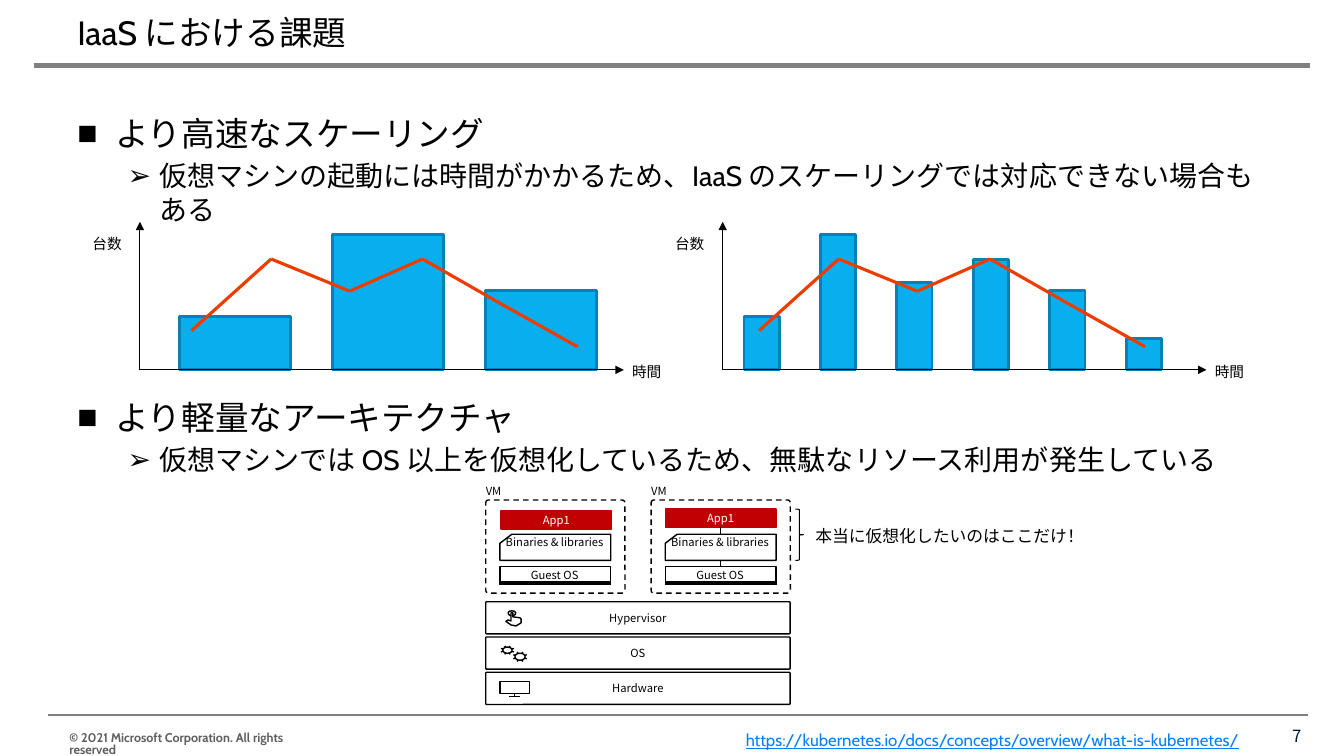
"""Build the slide on the challenges of IaaS."""
from dataclasses import dataclass
from itertools import pairwise
from math import cos, radians, sin

from lxml import etree
from pptx import Presentation
from pptx import util as u
from pptx.dml.color import RGBColor
from pptx.enum import dml, shapes, text
from pptx.oxml.ns import qn

LEFT, CENTER, RIGHT = text.PP_ALIGN.LEFT, text.PP_ALIGN.CENTER, text.PP_ALIGN.RIGHT
TOP, MIDDLE, BOTTOM = text.MSO_ANCHOR.TOP, text.MSO_ANCHOR.MIDDLE, text.MSO_ANCHOR.BOTTOM
RECTANGLE = shapes.MSO_SHAPE.RECTANGLE
ROUNDED = shapes.MSO_SHAPE.ROUNDED_RECTANGLE


@dataclass(frozen=True)
class Theme:
    body_font: str = "Cabin"
    label_font: str = "Noto Sans CJK JP"
    black: str = "000000"
    white: str = "FFFFFF"
    rule: str = "808080"
    footer: str = "5F5F5F"
    number: str = "021B2B"
    link: str = "0080FF"
    bar: str = "09AEEF"
    bar_edge: str = "0781B1"
    trend: str = "EB3D00"
    app: str = "C00000"
    heading: float = 24
    item: float = 20
    note: float = 12
    axis: float = 10.5
    copyright: float = 9
    small: float = 8


class SlideBuilder:
    def __init__(self, slide, theme):
        self.slide, self.theme = slide, theme

    def font(self, paragraph, size, color=None, name=None, bold=False, underline=False):
        font = paragraph.font
        font.size, font.bold, font.underline = u.Pt(size), bold, underline
        font.color.rgb = RGBColor.from_string(color or self.theme.black)
        font.name = name or self.theme.body_font
        properties = paragraph._p.pPr.find(qn("a:defRPr"))
        etree.SubElement(properties, qn("a:ea"), typeface=font.name)

    def set_text(self, shape, words, size, align=LEFT, anchor=TOP, inset=None, wrap=True,
                 spacing=None, **style):
        frame = shape.text_frame
        frame.auto_size = text.MSO_AUTO_SIZE.NONE
        frame.word_wrap, frame.vertical_anchor = wrap, anchor
        if inset is not None:
            frame.margin_left = frame.margin_right = u.Pt(inset)
            frame.margin_top = frame.margin_bottom = u.Pt(inset)
        paragraph = frame.paragraphs[0]
        paragraph.text, paragraph.alignment = words, align
        if spacing:
            paragraph.line_spacing = spacing
        self.font(paragraph, size, **style)

    def place(self, shape, left, top, width, height):
        shape.left, shape.top = u.Pt(left), u.Pt(top)
        shape.width, shape.height = u.Pt(width), u.Pt(height)

    def title(self, words, *box):
        shape = self.slide.shapes.title
        self.place(shape, *box)
        self.set_text(shape, words, self.theme.heading, anchor=MIDDLE)

    def body(self, items, *box):
        shape = self.slide.placeholders[1]
        self.place(shape, *box)
        frame = shape.text_frame
        frame.auto_size = text.MSO_AUTO_SIZE.NONE
        for index, (level, before, words) in enumerate(items):
            paragraph = frame.add_paragraph() if index else frame.paragraphs[0]
            paragraph.text, paragraph.level = words, level
            paragraph.space_before = u.Pt(before)
            margin, indent, bullet = ((27, -27, "■"), (58.5, -22.5, "➢"))[level]
            properties = paragraph._p.get_or_add_pPr()
            properties.set("marL", str(u.Pt(margin)))
            properties.set("indent", str(u.Pt(indent)))
            etree.SubElement(properties, qn("a:buChar"), char=bullet)
            self.font(paragraph, self.theme.item if level else self.theme.heading)

    def label(self, words, size, box, **style):
        shape = self.slide.shapes.add_textbox(*map(u.Pt, box))
        self.set_text(shape, words, size, **style)

    def outline(self, shape, fill, color, width):
        shape.shadow.inherit = False
        if fill:
            shape.fill.solid()
            shape.fill.fore_color.rgb = RGBColor.from_string(fill)
        else:
            shape.fill.background()
        shape.line.color.rgb = RGBColor.from_string(color or self.theme.black)
        shape.line.width = u.Pt(width)

    def shape(self, kind, box, fill=None, color=None, width=1.0, dashed=False):
        shape = self.slide.shapes.add_shape(kind, *map(u.Pt, box))
        self.outline(shape, fill, color, width)
        if kind == ROUNDED:
            shape.adjustments[0] = 0.03
        if dashed:
            shape.line.dash_style = dml.MSO_LINE.DASH
        return shape

    def line(self, start, end, color=None, width=0.75, arrow=False):
        connector = self.slide.shapes.add_connector(
            shapes.MSO_CONNECTOR.STRAIGHT, *map(u.Pt, (*start, *end)))
        connector.line.color.rgb = RGBColor.from_string(color or self.theme.black)
        connector.line.width = u.Pt(width)
        if arrow:
            etree.SubElement(connector.line._get_or_add_ln(), qn("a:tailEnd"), type="triangle")
        etree.SubElement(connector._element.spPr, qn("a:effectLst"))
        return connector

    def freeform(self, left, top, strokes, fill=None):
        builder = None
        for points, closed in strokes:
            (x, y), *rest = [(u.Pt(left + x), u.Pt(top + y)) for x, y in points]
            if builder is None:
                builder = self.slide.shapes.build_freeform(x, y)
            else:
                builder.move_to(x, y)
            builder.add_line_segments(rest, close=closed)
        self.outline(builder.convert_to_shape(), fill, None, 1)

    def scaling_chart(self, origin, first_bar, step, bar_width, heights, trend_start):
        theme, base = self.theme, 264.2
        for index, height in enumerate(heights):
            box = (first_bar + index * step, base - height, bar_width, height)
            self.shape(RECTANGLE, box, theme.bar, theme.bar_edge, 2)
        trend = [(0, 236.2), (56.9, 185), (113, 208), (165, 185), (220, 216.4), (275.8, 247.7)]
        for (x1, y1), (x2, y2) in pairwise(trend):
            self.line((trend_start + x1, y1), (trend_start + x2, y2), theme.trend, 2.25)
        for end in ((origin + 345.6, base), (origin, 158.4)):
            self.line((origin, base), end, arrow=True)
        for words, left, top in (("時間", 342.5, 255.6), ("台数", -43, 164.2)):
            self.label(words, theme.axis, (origin + left, top, 39, 20.5), align=CENTER)

    def machine(self, left, app_left, app_top, linked=False):
        theme = self.theme
        small = dict(name=theme.label_font, inset=0, wrap=False)
        inner = left + 10.1
        app = self.shape(RECTANGLE, (app_left, app_top, 79.2, 13), theme.app, theme.app)
        self.set_text(app, "App1", theme.small, CENTER, MIDDLE, color=theme.white, **small)
        guest = self.shape(RECTANGLE, (inner, 404.6, 79.2, 13))
        self.shape(RECTANGLE, (inner, 415.4, 79.2, 2.2), theme.black)
        if linked:
            link = self.line((inner + 39.6, app_top + 13), (inner + 39.6, 404.6), width=1)
            link.begin_connect(app, 2)
            link.end_connect(guest, 0)
        library = [(0, 6.5), (8.6, 0), (79.2, 0), (79.2, 18.7), (0, 18.7)]
        self.freeform(inner, 381.6, [(library, True)], theme.white)
        for words, top in (("Binaries & libraries", 383.8), ("Guest OS", 406.8)):
            self.label(words, theme.small, (left + 14.4, top, 69.8, 8.6), align=CENTER,
                       spacing=0.9, **small)
        self.shape(ROUNDED, (left, 357.1, 99.4, 66.6), dashed=True)
        self.label("VM", theme.small, (left, 346.3, 51.8, 9.4), anchor=BOTTOM, **small)


def ellipse_point(center, radii, degrees):
    angle = radians(degrees)
    return center[0] + radii[0] * cos(angle), center[1] + radii[1] * sin(angle)


def gear(center, inner, outer):
    rim = [ellipse_point(center, inner, angle) for angle in range(0, 360, 15)]
    teeth = [([ellipse_point(center, radii, 22.5 + 45 * tooth) for radii in (inner, outer)], False)
             for tooth in range(8)]
    return [(rim, True), *teeth]


def main():
    presentation = Presentation()
    presentation.slide_width, presentation.slide_height = u.Pt(960), u.Pt(540)
    theme = Theme()
    slide = presentation.slides.add_slide(presentation.slide_layouts[1])
    builder = SlideBuilder(slide, theme)

    builder.title("IaaS における課題", 48, 5.8, 864, 33.8)
    builder.body([
        (0, 0, "より高速なスケーリング"),
        (1, 4, "仮想マシンの起動には時間がかかるため、IaaS のスケーリングでは対応できない場合もある"),
        (0, 122, "より軽量なアーキテクチャ"),
        (1, 4, "仮想マシンでは OS 以上を仮想化しているため、無駄なリソース利用が発生している"),
    ], 48, 77, 864, 429)
    builder.line((24, 46.8), (936, 46.8), theme.rule, 3)
    builder.line((34, 510.5), (934, 510.5), theme.rule, 1.5)
    builder.label("© 2021 Microsoft Corporation. All rights reserved", theme.copyright,
                  (42.5, 519.8, 180, 20), spacing=0.8, color=theme.footer, bold=True)
    builder.label("7", theme.note, (712.8, 511.2, 224, 28.8), align=RIGHT, anchor=MIDDLE,
                  color=theme.number, name=theme.label_font)
    builder.label("https://kubernetes.io/docs/concepts/overview/what-is-kubernetes/", theme.note,
                  (525.6, 517.7, 400, 21.6), color=theme.link, underline=True)

    builder.scaling_chart(100, 128.2, 109.4, 79.2, (38, 96.6, 57), 136.8)
    builder.scaling_chart(516.2, 531.4, 54.6, 25.2, (38, 96.6, 62.4, 79, 57, 22.4), 542.2)

    builder.machine(347, 357.8, 365)
    builder.machine(465.1, 475.2, 363.6, linked=True)
    finger = [(5, 4.3), (5, 1.4), (3.6, 1.4), (3.6, 7.2), (1.4, 6.5), (0, 7.5), (3.6, 10.1),
              (7.2, 10.8), (10.8, 8.6), (10.8, 5.8), (10, 5)]
    ring = [(3.6, 3.6), (1.9, 2.6), (1.6, 1.2), (2.6, 0.3), (4.3, 0), (6, 0.3), (7, 1.2),
            (6.7, 2.6), (5, 3.6)]
    hand = [(finger, True), (ring, False)]
    gears = gear((4.7, 2.9), (3.3, 2.2), (5, 3.2)) + gear((13.7, 7.6), (3.6, 2.5), (5.2, 3.7))
    screen = [(0, 0), (20.9, 0), (20.9, 8.6), (0, 8.6)]
    monitor = [(screen, True), ([(10.4, 8.6), (10.4, 10.8)], False),
               ([(6.5, 10.8), (14.4, 10.8)], False)]
    layers = [("Hypervisor", hand, 361.4), ("OS", gears, 357.8), ("Hardware", monitor, 357.1)]
    for index, (words, icon, left) in enumerate(layers):
        top = 429.8 + index * 25.2
        layer = builder.shape(ROUNDED, (347, top, 217.4, 23))
        builder.set_text(layer, words, theme.small, CENTER, MIDDLE, inset=0,
                         name=theme.label_font)
        builder.freeform(left, top + 6.5, icon)

    builder.shape(shapes.MSO_SHAPE.RIGHT_BRACE, (568.1, 363.6, 5.8, 36.7), width=0.75)
    builder.label("本当に仮想化したいのはここだけ！", theme.note, (575.3, 372.2, 222.5, 21.6))
    presentation.save("out.pptx")


if __name__ == "__main__":
    main()
